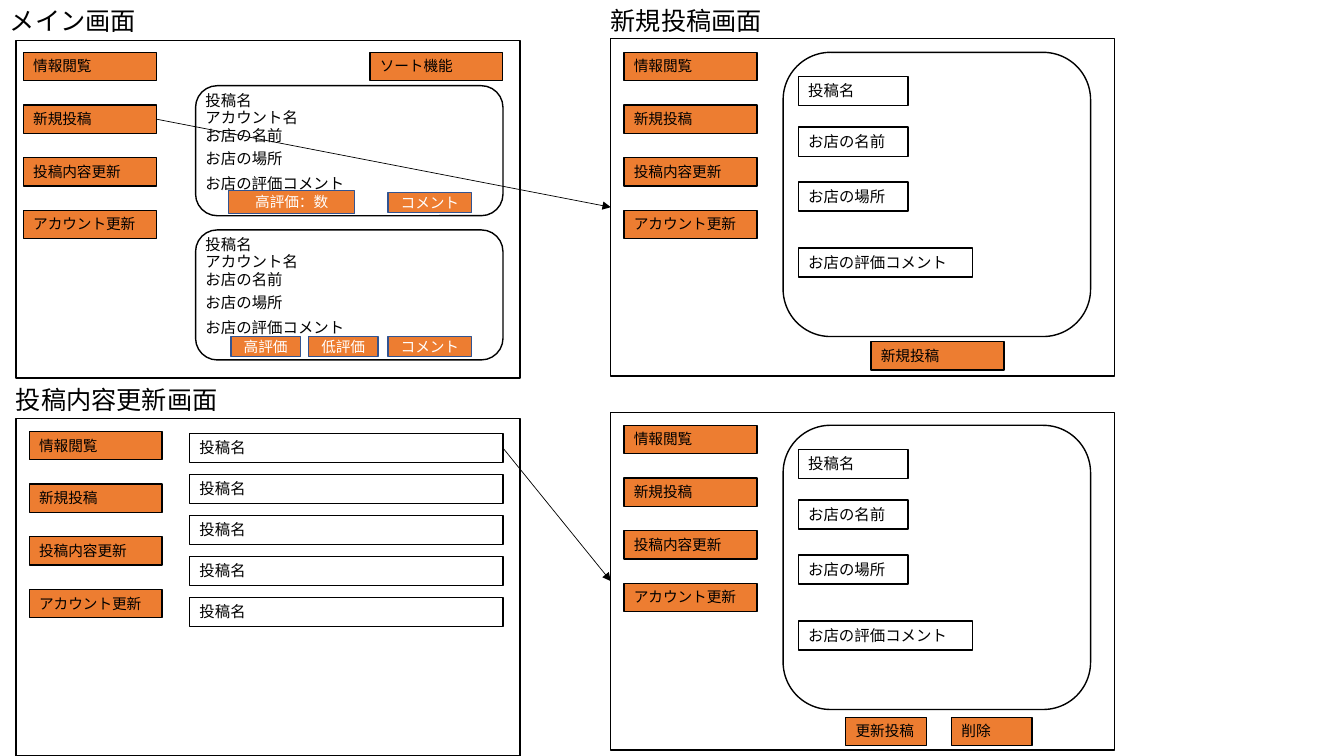
"""Draw four wireframe screens of a shop review app."""
from lxml.etree import SubElement
from pptx import Presentation
from pptx.dml.color import RGBColor
from pptx.enum.shapes import MSO_CONNECTOR as Conn, MSO_SHAPE as Kind
from pptx.enum.text import MSO_ANCHOR as Anchor, PP_ALIGN as Align
from pptx.oxml.ns import qn
from pptx.util import Pt

BLACK = RGBColor(0, 0, 0)
WHITE = RGBColor(255, 255, 255)
ORANGE = RGBColor(0xED, 0x7D, 0x31)
BLUE = RGBColor(0x32, 0x54, 0x91)
FONT = "Noto Sans CJK JP"
MENU = ["情報閲覧", "新規投稿", "投稿内容更新", "アカウント更新"]
LABELS = [("投稿名", 0, 78.5), ("アカウント名", 12.3, 86.4),
          ("お店の名前", 25.2, 78.5), ("お店の場所", 41.8, 78.5),
          ("お店の評価コメント", 59.8, 124.6)]
FIELDS = [("投稿名", 17.3, 78.5), ("お店の名前", 53.3, 78.5),
          ("お店の場所", 92.5, 78.5), ("お店の評価コメント", 139.7, 124.6)]


def write(shape, text, size, color=BLACK, align=Align.LEFT, anchor=Anchor.TOP):
    frame = shape.text_frame
    for name, value in {"word_wrap": True, "vertical_anchor": anchor}.items():
        setattr(frame, name, value)
    para = frame.paragraphs[0]
    para.alignment = align
    run = para.add_run()
    run.text = text
    for name, value in {"size": Pt(size), "name": FONT}.items():
        setattr(run.font, name, value)
    run.font.color.rgb = color
    SubElement(run.font._element, qn("a:ea")).set("typeface", FONT)


def label(slide, text, x, y, w, h=20.9, size=11):
    box = slide.shapes.add_textbox(Pt(x), Pt(y), Pt(w), Pt(h))
    write(box, text, size)


def block(slide, x, y, w, h, fill=WHITE, edge=BLACK, kind=Kind.RECTANGLE):
    shape = slide.shapes.add_shape(kind, Pt(x), Pt(y), Pt(w), Pt(h))
    shape.shadow.inherit = False
    shape.fill.solid()
    shape.fill.fore_color.rgb = fill
    shape.line.color.rgb = edge
    shape.line.width = Pt(1)
    return shape


def button(slide, text, x, y, w=95):
    shape = block(slide, x, y, w, 20.2, ORANGE)
    write(shape, text, 10.5)
    return shape


def badge(slide, text, x, y, w, h=14.4):
    shape = block(slide, x, y, w, h, ORANGE, BLUE)
    write(shape, text, 10.5, WHITE, Align.CENTER, Anchor.MIDDLE)


def field(slide, text, x, y, w):
    shape = block(slide, x, y, w, 20.9)
    write(shape, text, 11)
    return shape


def panel(slide, x, y):
    return block(slide, x, y, 360, 241.2)


def title(slide, text, x, y):
    label(slide, text, x, y, 279.4, 28.8, 18)


def menu(slide, x, y):
    return [button(slide, text, x, y + 37.6 * i) for i, text in enumerate(MENU)]


def card(slide, y):
    block(slide, 139.7, y, 219.6, 92.9, kind=Kind.ROUNDED_RECTANGLE)
    for text, drop, w in LABELS:
        label(slide, text, 139.7, y + drop, w)
    badge(slide, "コメント", 277.2, y + 76.3, 59.8)


def form(slide, y):
    block(slide, 559.4, y, 219.6, 203, kind=Kind.ROUNDED_RECTANGLE)
    for text, drop, w in FIELDS:
        field(slide, text, 570.2, y + drop, w)


def arrow(slide, start, end):
    line = slide.shapes.add_connector(Conn.STRAIGHT, 0, 0, 0, 0)
    line.begin_connect(start, 3)
    line.end_connect(end, 1)
    line.line.color.rgb = BLACK
    line.line.width = Pt(0.5)
    SubElement(line.line._get_or_add_ln(), qn("a:tailEnd")).set("type", "triangle")
    SubElement(line._element.spPr, qn("a:effectLst"))


def main():
    deck = Presentation()
    deck.slide_width, deck.slide_height = Pt(960), Pt(540)
    slide = deck.slides.add_slide(deck.slide_layouts[6])

    panel(slide, 11.5, 28.8)
    title(slide, "メイン画面", 0, 0)
    links = menu(slide, 16.6, 37.4)
    button(slide, "ソート機能", 264.2, 37.4)
    for y in (61.2, 164.2):
        card(slide, y)
    badge(slide, "高評価：数", 163.4, 136.1, 90, 16.6)
    for text, x in (("高評価", 164.9), ("低評価", 220.3)):
        badge(slide, text, x, 240.5, 49.7)

    fresh = panel(slide, 436.3, 27.4)
    title(slide, "新規投稿画面", 429.1, 0)
    menu(slide, 445.7, 37.4)
    form(slide, 37.4)
    button(slide, "新規投稿", 622.1, 244.1)
    arrow(slide, links[1], fresh)

    panel(slide, 11.5, 298.8)
    title(slide, "投稿内容更新画面", 4.3, 270.7)
    menu(slide, 20.9, 308.2)
    posts = [field(slide, "投稿名", 135.4, 309.6 + 29.3 * i, 223.9)
             for i in range(5)]

    edit = panel(slide, 436.3, 294.5)
    menu(slide, 445.7, 303.8)
    form(slide, 303.8)
    for text, x in (("更新投稿", 604.1), ("削除", 679.7)):
        button(slide, text, x, 512.3, 57.6)
    arrow(slide, posts[0], edit)

    deck.save("out.pptx")


main()
